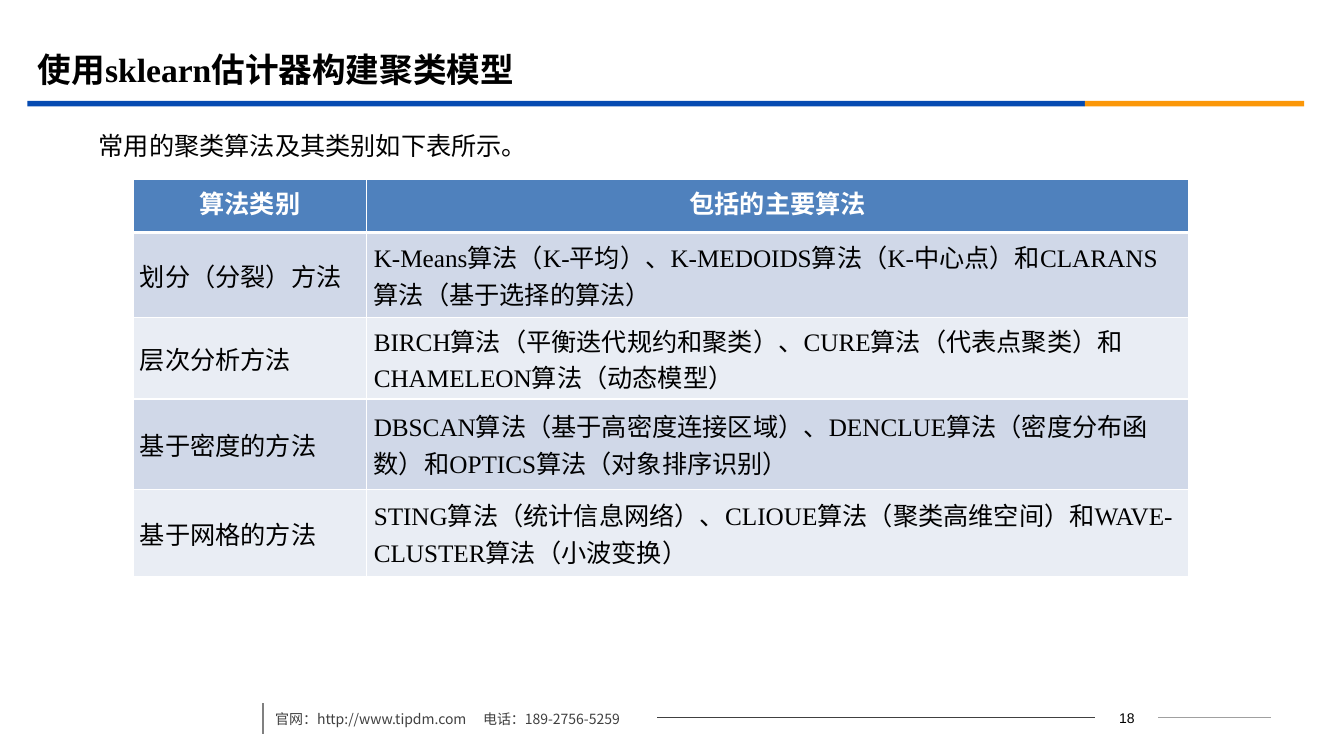
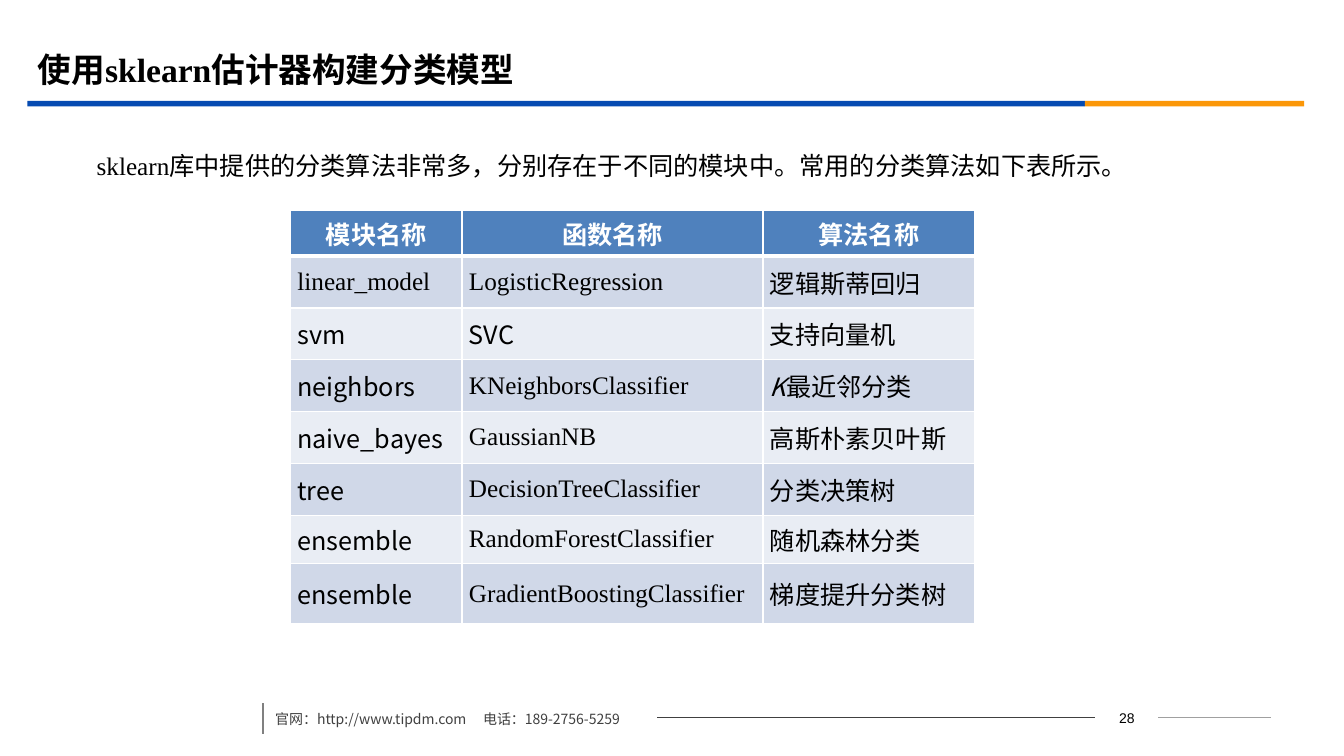
from lxml import etree
from pptx import Presentation
from pptx import util as u
from pptx.dml.color import RGBColor
from pptx.enum import shapes, text
from pptx.oxml.ns import qn

Pt = u.Pt

# Shared colours and fonts
BLUE, GOLD = "064BB2", "FB9708"
BLACK, WHITE = "000000", "FFFFFF"
DARK, GREY, PALE = "404040", "808080", "A0A0A0"
HEAD, BANDS = "4F81BD", ("E9EDF4", "D0D8E8")
SERIF, SANS = "Times New Roman", "Noto Sans CJK SC"
MID = text.MSO_ANCHOR.MIDDLE
CENTER = text.PP_ALIGN.CENTER

# Table cells: "|" switches between serif and sans, "*" marks italics
GROUPS = [
    ["算法类别", "包括的主要算法"],
    ["划分（分裂）方法",
     "K-Means算法（K-平均）|、|K-MEDOIDS算法（K-中心点）|和|CLARANS算法（基于选择的算法）"],
    ["层次分析方法",
     "BIRCH算法（平衡迭代规约和聚类）|、|CURE算法（代表点聚类）|和|CHAMELEON算法（动态模型）"],
    ["基于密度的方法",
     "DBSCAN算法（基于高密度连接区域）|、|DENCLUE算法（密度分布函数）|和|OPTICS算法（对象排序识别）"],
    ["基于网格的方法",
     "STING算法（统计信息网络）|、|CLIOUE算法（聚类高维空间）|和|WAVE-CLUSTER算法（小波变换）"],
]
MODELS = [
    ["模块名称", "函数名称", "算法名称"],
    ["linear_model", "LogisticRegression", "|逻辑斯蒂回归"],
    ["|svm", "|SVC", "|支持向量机"],
    ["|neighbors", "KNeighborsClassifier", "|*K||最近邻分类"],
    ["|naive_bayes", "GaussianNB", "|高斯朴素贝叶斯"],
    ["|tree", "DecisionTreeClassifier", "|分类决策树"],
    ["|ensemble", "RandomForestClassifier", "|随机森林分类"],
    ["|ensemble", "GradientBoostingClassifier", "|梯度提升分类树"],
]


def color(code):
    return RGBColor.from_string(code)


def style(run, size, face, ink, bold=False):
    font = run.font
    font.size, font.name, font.bold = Pt(size), face, bold
    font.color.rgb = color(ink)
    east = etree.SubElement(run._r.get_or_add_rPr(), qn("a:ea"))
    east.set("typeface", SANS)


def add_bar(slide, left, width, ink):
    bar = slide.shapes.add_shape(shapes.MSO_SHAPE.RECTANGLE,
                                 Pt(left), Pt(72), Pt(width), Pt(4))
    bar.shadow.inherit = False
    bar.fill.solid()
    bar.fill.fore_color.rgb = color(ink)
    bar.line.fill.background()


def add_line(slide, x1, y1, x2, y2, ink, width):
    line = slide.shapes.add_connector(shapes.MSO_CONNECTOR.STRAIGHT,
                                      Pt(x1), Pt(y1), Pt(x2), Pt(y2))
    line.line.color.rgb = color(ink)
    line.line.width = Pt(width)
    etree.SubElement(line._element.spPr, qn("a:effectLst"))


def add_text(slide, box, words, size, face, ink=BLACK, bold=False):
    frame = slide.shapes.add_textbox(*map(Pt, box)).text_frame
    frame.word_wrap = True
    para = frame.paragraphs[0]
    para.text = words
    for run in para.runs:
        style(run, size, face, ink, bold)
    return frame


def add_frame(slide, title, page):
    # Title and two-colour rule
    add_bar(slide, 19.5, 755.5, BLUE)
    add_bar(slide, 775, 156.5, GOLD)
    head = add_text(slide, (20, 28, 864, 42), title, 24, SERIF, bold=True)
    head.vertical_anchor = MID

    # Footer
    num = add_text(slide, (782.5, 503, 45, 18), str(page), 10, "Arial")
    num.paragraphs[0].alignment = CENTER
    add_line(slide, 827.5, 512.5, 908, 512.5, PALE, 0.75)
    add_line(slide, 469.5, 512.5, 782.5, 512.5, DARK, 0.75)
    add_line(slide, 188, 502.5, 188, 524, GREY, 1.25)
    foot = add_text(slide, (189.5, 498, 386, 25),
                    "官网：http://www.tipdm.com\t电话：189-2756-5259",
                    10, SANS, DARK)
    para = foot.paragraphs[0]
    tabs = etree.SubElement(para._p.get_or_add_pPr(), qn("a:tabLst"))
    etree.SubElement(tabs, qn("a:tab"), pos=str(Pt(148.5)), algn="l")
    para.line_spacing = 1.5


def add_lead(slide, left, top, words):
    frame = add_text(slide, (left, top, 875, 48), words, 18, SERIF)
    para = frame.paragraphs[0]
    para.line_spacing = 1.5
    para._p.get_or_add_pPr().set("marL", str(Pt(29)))


def add_edges(cell, top, base):
    props = cell._tc.get_or_add_tcPr()
    for side, width in zip("LRTB", (1, 1, top, base)):
        edge = etree.SubElement(props, qn("a:ln" + side), w=str(Pt(width)))
        fill = etree.SubElement(edge, qn("a:solidFill"))
        etree.SubElement(fill, qn("a:srgbClr"), val=WHITE)


def fill_cell(cell, words, row):
    add_edges(cell, 3 if row == 1 else 1, 3 if row == 0 else 1)
    cell.fill.solid()
    cell.fill.fore_color.rgb = color(BANDS[row % 2] if row else HEAD)
    para = cell.text_frame.paragraphs[0]
    if row == 0:
        para.text = words
        para.alignment = CENTER
        style(para.runs[0], 18, "Calibri", WHITE, True)
        return
    cell.vertical_anchor = MID
    cell.margin_left = cell.margin_right = Pt(5)
    cell.margin_top = cell.margin_bottom = 0
    for idx, part in enumerate(words.split("|")):
        if part:
            run = para.add_run()
            run.text = part.lstrip("*")
            style(run, 18, SANS if idx % 2 else SERIF, BLACK)
            run.font.italic = part.startswith("*")


def add_grid(slide, left, top, cols, rows, data):
    table = slide.shapes.add_table(len(rows), len(cols), Pt(left), Pt(top),
                                   Pt(sum(cols)), Pt(sum(rows))).table
    for col, width in zip(table.columns, cols):
        col.width = Pt(width)
    for r, (height, line) in enumerate(zip(rows, data)):
        table.rows[r].height = Pt(height)
        for c, words in enumerate(line):
            fill_cell(table.cell(r, c), words, r)


def main():
    deck = Presentation()
    deck.slide_width, deck.slide_height = Pt(960), Pt(540)
    blank = deck.slide_layouts[6]

    # Clustering
    slide = deck.slides.add_slide(blank)
    add_frame(slide, "使用sklearn估计器构建聚类模型", 18)
    add_lead(slide, 34.5, 79, "常用的聚类算法及其类别如下表所示。")
    add_grid(slide, 95, 128, (167, 587), (38, 61, 58, 64.5, 62.5), GROUPS)

    # Classification
    slide = deck.slides.add_slide(blank)
    add_frame(slide, "使用sklearn估计器构建分类模型", 28)
    add_lead(slide, 33, 93, "sklearn库中提供的分类算法非常多，分别存在于不同的模块中。"
                            "常用的分类算法如下表所示。")
    add_grid(slide, 207.5, 150.5, (122.5, 215, 151.5),
             (32.5, *[37] * 5, 34.5, 43), MODELS)

    deck.save("out.pptx")


if __name__ == "__main__":
    main()
